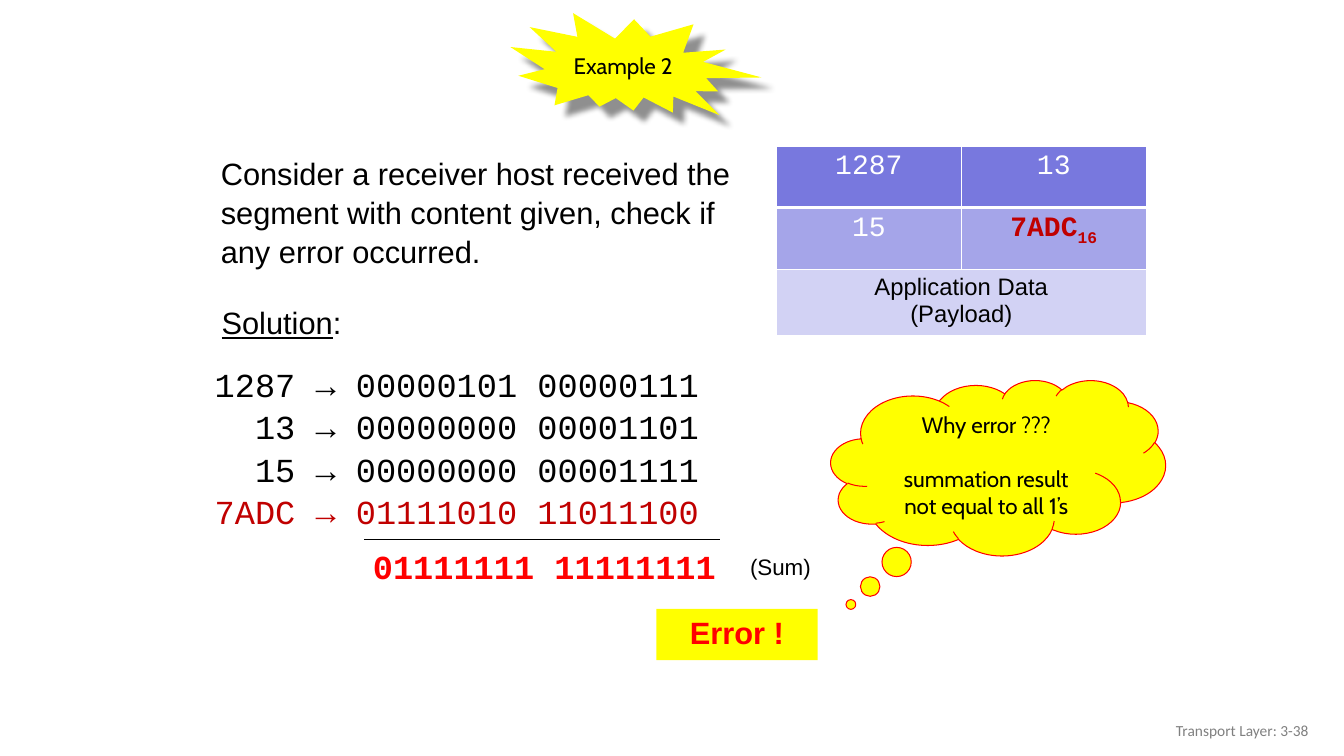
from lxml import etree
from pptx import Presentation
from pptx.dml.color import RGBColor
from pptx.enum import shapes, text
from pptx.oxml import parse_xml
from pptx.oxml.ns import nsdecls, qn
from pptx.util import Inches, Pt

COLORS = {
    "ink": "000000", "paper": "FFFFFF", "yellow": "FFFF00", "red": "FF0000",
    "dark red": "C00000", "grey": "808080",
    "row 1": "7878DE", "row 2": "A5A5E9", "row 3": "D2D2F4",
}
BODY = {"name": "Arial", "size": 22, "color": "ink"}
CODE = {"name": "Courier New", "size": 24, "color": "ink"}
LABEL = {"name": "Cabin", "size": 16, "color": "ink"}
FIELD = {**CODE, "size": 20, "color": "paper"}
CHECKSUM = {**FIELD, "color": "dark red", "bold": True}
PAYLOAD = {**BODY, "size": 17}

# A paragraph is a list of (text, format) spans.
QUESTION = [[("Consider a receiver host received the segment with content given, "
              "check if any error occurred.", BODY)]]
SOLUTION = [[("Solution", {**BODY, "underline": True}), (":", BODY)]]
WORDS = [
    ("1287", "00000101 00000111", "ink"),
    ("13", "00000000 00001101", "ink"),
    ("15", "00000000 00001111", "ink"),
    ("7ADC", "01111010 11011100", "dark red"),
]
TOTAL = [[("01111111 11111111", {**CODE, "color": "red", "bold": True})]]
SUM_NOTE = [[("(Sum)", {**BODY, "size": 16})]]
VERDICT = [[("Error !", {**BODY, "color": "red", "bold": True})]]
REASON = [[(line, LABEL)] for line in
          ("Why error ???", "summation result", "not equal to all 1’s")]
FOOTER = [[("Transport Layer: 3-38", {"name": "Calibri", "size": 11, "color": "grey"})]]
SEGMENT = [
    [[("1287", FIELD)], [("13", FIELD)]],
    [[("15", FIELD)], [("7ADC", CHECKSUM), ("16", {**CHECKSUM, "subscript": True})]],
    [[("Application Data", PAYLOAD), ("\n", PAYLOAD), ("(Payload)", PAYLOAD)], []],
]
ROW_HEIGHTS = (0.61, 0.61, 0.66)

LEFT, CENTER, RIGHT = text.PP_ALIGN.LEFT, text.PP_ALIGN.CENTER, text.PP_ALIGN.RIGHT


def rgb(name):
    return RGBColor.from_string(COLORS[name])


def style(span, look):
    for key, value in look.items():
        if key == "color":
            span.font.color.rgb = rgb(value)
        elif key == "subscript":
            span.font._element.set("baseline", "-25000")
        else:
            setattr(span.font, key, Pt(value) if key == "size" else value)


def write(frame, paragraphs, align=LEFT, spacing=None):
    for index, spans in enumerate(paragraphs):
        para = frame.add_paragraph() if index else frame.paragraphs[0]
        para.alignment = align
        para.line_spacing = spacing
        para.space_before = Pt(0)
        for words, look in spans:
            if words == "\n":
                para.add_line_break()
                continue
            span = para.add_run()
            span.text = words
            style(span, look)


def place(shape, at):
    shape.left, shape.top, shape.width, shape.height = map(Inches, at)


def set_frame(shape, wrap=True, anchor=text.MSO_ANCHOR.TOP):
    frame = shape.text_frame
    for key, value in {"word_wrap": wrap, "vertical_anchor": anchor,
                       "auto_size": text.MSO_AUTO_SIZE.NONE}.items():
        setattr(frame, key, value)
    return frame


def add_text(page, at, paragraphs, wrap=True, anchor=text.MSO_ANCHOR.TOP, **layout):
    box = page.shapes.add_textbox(*map(Inches, at))
    write(set_frame(box, wrap, anchor), paragraphs, **layout)


def add_filled(page, kind, at, fill, line=None):
    shape = page.shapes.add_shape(kind, *map(Inches, at))
    shape.shadow.inherit = False
    shape.fill.solid()
    shape.fill.fore_color.rgb = rgb(fill)
    if line:
        shape.line.color.rgb = rgb(line)
        shape.line.width = Pt(0.75)
    else:
        shape.line.fill.background()
    return shape


def add_borders(cell, header):
    props = cell._tc.get_or_add_tcPr()
    for index, side in enumerate(("lnL", "lnR", "lnT", "lnB")):
        width = Pt(3 if header and side == "lnB" else 1)
        props.insert(index, parse_xml(
            f'<a:{side} {nsdecls("a")} w="{width}"><a:solidFill>'
            f'<a:srgbClr val="{COLORS["paper"]}"/></a:solidFill></a:{side}>'))


def add_title(page):
    title = page.shapes.title
    place(title, (5.59, 0.47, 1.23, 0.37))
    write(set_frame(title, wrap=False), [[("Example 2", LABEL)]])
    burst = add_filled(page, shapes.MSO_SHAPE.EXPLOSION2, (5.05, 0.11, 2.49, 1.12), "yellow")
    burst.rotation = 14.3
    effects = burst._element.spPr.find(qn("a:effectLst"))
    effects.append(parse_xml(
        f'<a:outerShdw {nsdecls("a")} blurRad="{Pt(4)}" dist="{Pt(11)}" dir="2700000" '
        f'algn="ctr" rotWithShape="0"><a:srgbClr val="{COLORS["ink"]}">'
        '<a:alpha val="43000"/></a:srgbClr></a:outerShdw>'))
    title.element.addprevious(burst.element)


def add_question(page):
    body = page.placeholders[1]
    place(body, (2.09, 1.47, 5.35, 1.38))
    write(set_frame(body), QUESTION, spacing=1.05)
    props = body.text_frame.paragraphs[0]._p.get_or_add_pPr()
    props.set("marL", "0")
    props.set("indent", "0")
    etree.SubElement(props, qn("a:buNone"))


def add_segment(page):
    table = page.shapes.add_table(3, 2, *map(Inches, (7.7, 1.45, 3.67, 1.88))).table
    table.first_row = table.horz_banding = False
    for row, height in zip(table.rows, ROW_HEIGHTS):
        row.height = Inches(height)
    table.cell(2, 0).merge(table.cell(2, 1))
    for r, row in enumerate(SEGMENT):
        for c, spans in enumerate(row):
            cell = table.cell(r, c)
            cell.fill.solid()
            cell.fill.fore_color.rgb = rgb(f"row {r + 1}")
            add_borders(cell, header=r == 0)
            if spans:
                write(cell.text_frame, [spans], align=CENTER)


def add_addition(page):
    panel = add_filled(page, shapes.MSO_SHAPE.RECTANGLE, (2.02, 3.54, 5.25, 2.12), "paper")
    frame = set_frame(panel)
    frame.margin_right = Inches(0.34)
    lines = [[(f"{number} → {bits}", {**CODE, "color": color})]
             for number, bits, color in WORDS]
    write(frame, lines, align=RIGHT, spacing=1.05)
    add_text(page, (3.6, 5.35, 3.64, 0.5), TOTAL, wrap=False, spacing=1.05)
    rule = page.shapes.add_connector(
        shapes.MSO_CONNECTOR.STRAIGHT, *map(Inches, (7.14, 5.35, 3.61, 5.35)))
    rule.line.color.rgb = rgb("ink")
    rule.line.width = Pt(0.75)
    etree.SubElement(rule._element.spPr, qn("a:effectLst"))
    add_text(page, (7.34, 5.44, 0.81, 0.37), SUM_NOTE, wrap=False)
    add_text(page, (2.1, 2.95, 5.35, 0.51), SOLUTION, spacing=1.05)


def add_verdict(page):
    verdict = add_filled(page, shapes.MSO_SHAPE.RECTANGLE, (6.51, 6.04, 1.6, 0.51), "yellow")
    write(set_frame(verdict), VERDICT, align=CENTER)
    cloud = add_filled(page, shapes.MSO_SHAPE.CLOUD_CALLOUT, (8.24, 3.77, 3.32, 1.74),
                       "yellow", "red")
    cloud.adjustments[0], cloud.adjustments[1] = -0.44, 0.78
    frame = set_frame(cloud, wrap=False)
    write(frame, REASON, align=CENTER)
    frame.paragraphs[1].space_before = Pt(19.4)


def main():
    deck = Presentation()
    deck.slide_width, deck.slide_height = Inches(13.33), Inches(7.5)
    page = deck.slides.add_slide(deck.slide_layouts[1])
    add_title(page)
    add_segment(page)
    add_question(page)
    add_addition(page)
    add_verdict(page)
    add_text(page, (10.08, 7.05, 3, 0.4), FOOTER, align=RIGHT, anchor=text.MSO_ANCHOR.MIDDLE)
    deck.save("out.pptx")


if __name__ == "__main__":
    main()
